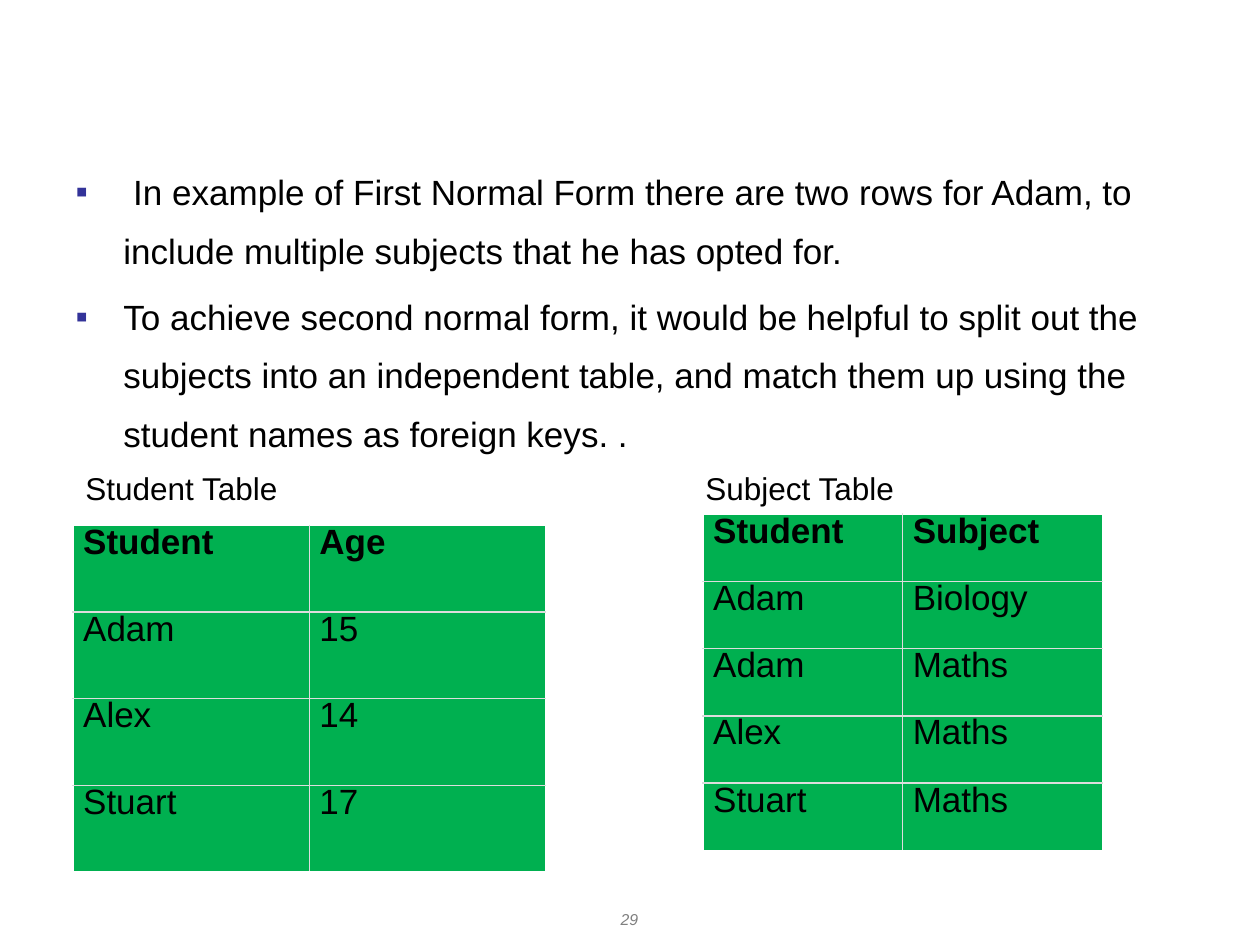
from dataclasses import dataclass

from lxml.etree import SubElement
from pptx import Presentation
from pptx.dml.color import RGBColor
from pptx.enum.text import MSO_AUTO_SIZE as Fit, PP_ALIGN as Align
from pptx.oxml import parse_xml
from pptx.oxml.ns import nsdecls, qn
from pptx.util import Inches, Pt

BLACK, GREEN, GRID, GRAY, BLUE = "000000", "00B050", "DDDDDD", "808080", "333399"

POINTS = [
    " In example of First Normal Form there are two rows for Adam, to include "
    "multiple subjects that he has opted for.",
    "To achieve second normal form, it would be helpful to split out the subjects "
    "into an independent table, and match them up using the student names as "
    "foreign keys. .",
]


@dataclass
class Grid:
    left: float
    top: float
    width: float
    height: float
    rows: list[tuple[str, str]]


@dataclass
class Label:
    text: str
    left: float
    top: float
    width: float
    height: float
    size: int = 18
    color: str = BLACK
    italic: bool = False
    wrap: bool = False
    align: Align = Align.LEFT


GRIDS = [
    Grid(0.58, 4.17, 3.75, 2.75,
         [("Student", "Age"), ("Adam", "15"), ("Alex", "14"), ("Stuart", "17")]),
    Grid(5.58, 4.08, 3.17, 2.67,
         [("Student", "Subject"), ("Adam", "Biology"), ("Adam", "Maths"),
          ("Alex", "Maths"), ("Stuart", "Maths")]),
]

LABELS = [
    Label("29", 3.83, 7.17, 2.33, 0.26, 9, GRAY, True, True, Align.CENTER),
    Label("Student Table", 0.58, 3.67, 1.74, 0.4),
    Label("Subject Table", 5.5, 3.67, 1.71, 0.4),
]


def paint(target, color: str) -> None:
    target.rgb = RGBColor.from_string(color)


def style(para, size: int, color: str = BLACK, bold: bool = False,
          italic: bool = False) -> None:
    font = para.font
    font.name, font.size = "Arial", Pt(size)
    font.bold, font.italic = bold, italic
    paint(font.color, color)


def add_bullet(para) -> None:
    props = para._p.get_or_add_pPr()
    props.set("marL", str(Inches(0.38)))
    props.set("indent", str(-Inches(0.38)))
    tint = SubElement(props, qn("a:buClr"))
    SubElement(tint, qn("a:srgbClr"), val=BLUE)
    SubElement(props, qn("a:buFont"), typeface="Arial")
    SubElement(props, qn("a:buChar"), char="▪")


def fill_body(body) -> None:
    body.left, body.top = Inches(0.5), Inches(1.17)
    body.width, body.height = Inches(9), Inches(2.5)
    frame = body.text_frame
    frame.auto_size = Fit.NONE
    frame.text = "\n".join(POINTS)
    for para in frame.paragraphs:
        para.line_spacing, para.space_before = 1.4, Pt(4)
        add_bullet(para)
        style(para, 20)


def add_edges(cell, sides: list[str]) -> None:
    props = cell._tc.get_or_add_tcPr()
    for spot, side in enumerate(sides):
        props.insert(spot, parse_xml(
            f'<a:ln{side} {nsdecls("a")} w="{Pt(1)}"><a:solidFill>'
            f'<a:srgbClr val="{GRID}"/></a:solidFill></a:ln{side}>'))


def add_grid(slide, grid: Grid) -> None:
    count, width = len(grid.rows), len(grid.rows[0])
    table = slide.shapes.add_table(
        count, width, Inches(grid.left), Inches(grid.top),
        Inches(grid.width), Inches(grid.height)).table
    for r, row in enumerate(grid.rows):
        for c, text in enumerate(row):
            cell = table.cell(r, c)
            cell.margin_left = cell.margin_right = Inches(0.08)
            cell.margin_top = cell.margin_bottom = Inches(0.08)
            cell.fill.solid()
            paint(cell.fill.fore_color, GREEN)
            inner = {"L": c > 0, "R": c < width - 1, "T": r > 0, "B": r < count - 1}
            add_edges(cell, [side for side, shown in inner.items() if shown])
            cell.text = text
            para = cell.text_frame.paragraphs[0]
            para.line_spacing = para.space_after = Pt(15)
            style(para, 20, bold=r == 0)


def add_label(slide, label: Label) -> None:
    frame = slide.shapes.add_textbox(
        Inches(label.left), Inches(label.top),
        Inches(label.width), Inches(label.height)).text_frame
    frame.word_wrap = label.wrap
    frame.auto_size = Fit.NONE if label.wrap else Fit.SHAPE_TO_FIT_TEXT
    frame.text = label.text
    para = frame.paragraphs[0]
    para.alignment = label.align
    style(para, label.size, label.color, italic=label.italic)


def main() -> None:
    deck = Presentation()
    deck.slide_width, deck.slide_height = Inches(10), Inches(7.5)
    slide = deck.slides.add_slide(deck.slide_layouts[1])
    title = slide.shapes.title._element
    title.getparent().remove(title)
    fill_body(slide.placeholders[1])
    for grid in GRIDS:
        add_grid(slide, grid)
    for label in LABELS:
        add_label(slide, label)
    deck.save("out.pptx")


if __name__ == "__main__":
    main()
